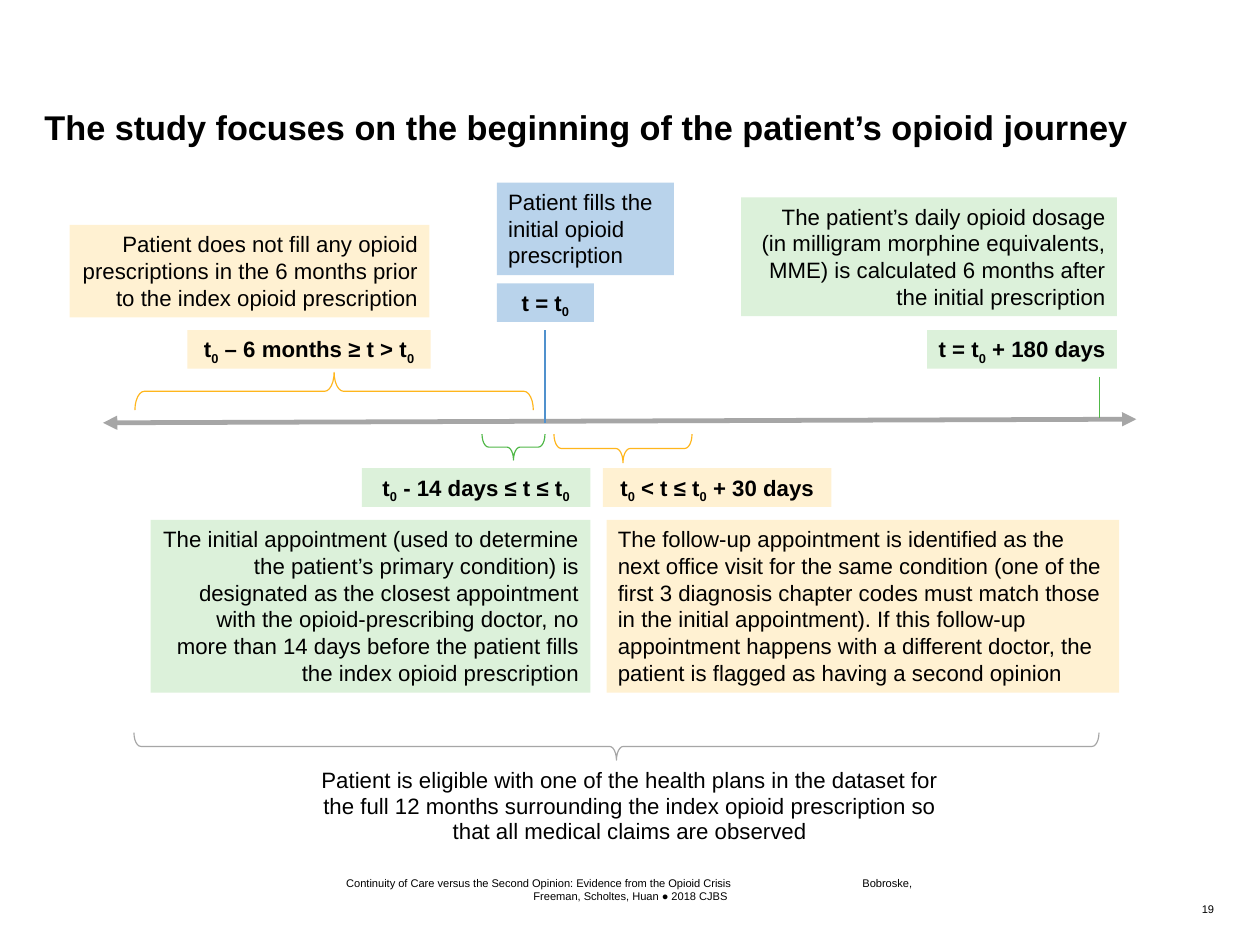
from dataclasses import dataclass
from typing import Any, NamedTuple

import lxml.etree
import pptx
import pptx.dml.color
import pptx.enum.shapes
import pptx.enum.text
import pptx.oxml.ns
import pptx.util

Cm = pptx.util.Cm
Pt = pptx.util.Pt
RGB = pptx.dml.color.RGBColor.from_string
Shape = pptx.enum.shapes.MSO_SHAPE
Align = pptx.enum.text.PP_ALIGN
Anchor = pptx.enum.text.MSO_ANCHOR
qn = pptx.oxml.ns.qn


@dataclass(frozen=True)
class Theme:
    font: str = "Arial"
    ink: str = "000000"
    cream: str = "FFF1D2"
    mint: str = "DCF1DA"
    sky: str = "B9D3EB"
    gold: str = "FFB61C"
    green: str = "50B848"
    blue: str = "5091CD"
    grey: str = "A6A6A6"
    title: float = 21.6
    body: float = 14
    small: float = 7
    thin: float = 0.75
    thick: float = 3


THEME = Theme()


class Area(NamedTuple):
    left: float
    top: float
    width: float
    height: float


class Panel(NamedTuple):
    area: Area
    fill: str
    text: str
    align: Any = Align.CENTER
    bold: bool = False


class Brace(NamedTuple):
    area: Area
    color: str
    turn: int = 270


class Rule(NamedTuple):
    start: tuple[float, float]
    end: tuple[float, float]
    color: str
    weight: float = THEME.thin
    heads: bool = False


CHIP = 0.86
ROW = 7.34
LOW_ROW = 10.41
LOW_NOTE = 11.56

PANELS = [
    Panel(Area(4.17, ROW, 5.41, CHIP), THEME.cream, "t|0| – 6 months ≥ t > t|0", bold=True),
    Panel(Area(11.05, 6.3, 2.16, CHIP), THEME.sky, "t = t|0", bold=True),
    Panel(Area(8.05, LOW_ROW, 5.08, CHIP), THEME.mint, "t|0| - 14 days ≤ t ≤ t|0", bold=True),
    Panel(Area(20.62, ROW, 4.22, CHIP), THEME.mint, "t = t|0| + 180 days", bold=True),
    Panel(Area(13.41, LOW_ROW, 5.08, CHIP), THEME.cream, "t|0| < t ≤ t|0| + 30 days", bold=True),
    Panel(Area(1.55, 5, 8, 2.06), THEME.cream,
          "Patient does not fill any opioid prescriptions in the 6 months prior "
          "to the index opioid prescription", Align.RIGHT),
    Panel(Area(11.05, 4.06, 3.94, 2.06), THEME.sky,
          "Patient fills the initial opioid prescription", Align.LEFT),
    Panel(Area(16.48, 4.39, 8.36, 2.64), THEME.mint,
          "The patient’s daily opioid dosage (in milligram morphine equivalents, MME) "
          "is calculated 6 months after the initial prescription", Align.RIGHT),
    Panel(Area(3.35, LOW_NOTE, 9.78, 3.84), THEME.mint,
          "The initial appointment (used to determine the patient’s primary condition) is "
          "designated as the closest appointment with the opioid-prescribing doctor, no more "
          "than 14 days before the patient fills the index opioid prescription", Align.RIGHT),
    Panel(Area(13.49, LOW_NOTE, 11.4, 3.84), THEME.cream,
          "The follow-up appointment is identified as the next office visit for the same "
          "condition (one of the first 3 diagnosis chapter codes must match those in the "
          "initial appointment). If this follow-up appointment happens with a different "
          "doctor, the patient is flagged as having a second opinion", Align.LEFT),
]

BRACES = [
    Brace(Area(3, 8.28, 8.86, 0.84), THEME.gold, turn=90),
    Brace(Area(10.72, 9.65, 1.4, 0.58), THEME.green),
    Brace(Area(12.32, 9.65, 3.07, 0.64), THEME.gold),
    Brace(Area(2.98, 16.29, 21.46, 0.61), THEME.grey),
]

RULES = [
    Rule((2.29, 9.4), (25.27, 9.32), THEME.grey, THEME.thick, heads=True),
    Rule((12.12, 7.34), (12.12, 9.4), THEME.blue),
    Rule((24.46, 8.38), (24.46, 9.3), THEME.green),
]


def write(para: Any, text: str, *, size: float = THEME.body, bold: bool = False,
          align: Any = Align.LEFT, space: float | None = None, tab: float | None = None) -> None:
    """Fill a paragraph; every second part between bars is a subscript."""
    para.alignment = align
    if space:
        para.line_spacing = space
    if tab:
        stops = lxml.etree.SubElement(para._p.get_or_add_pPr(), qn("a:tabLst"))
        lxml.etree.SubElement(stops, qn("a:tab"), pos=str(Cm(tab)), algn="l")
    for index, part in enumerate(text.split("|")):
        run = para.add_run()
        run.text = part
        run.font.name = THEME.font
        run.font.size = Pt(size)
        run.font.bold = bold
        run.font.color.rgb = RGB(THEME.ink)
        if index % 2:
            run.font._element.set("baseline", "-25000")


def add_box(slide: Any, area: Area, anchor: Any = Anchor.TOP, base: float = 0) -> Any:
    """Return the frame of a text box whose only inset is at its base."""
    frame = slide.shapes.add_textbox(*map(Cm, area)).text_frame
    frame.word_wrap = True
    frame.vertical_anchor = anchor
    frame.margin_left = frame.margin_top = frame.margin_right = 0
    frame.margin_bottom = Cm(base)
    return frame


def add_panel(slide: Any, panel: Panel) -> None:
    shape = slide.shapes.add_shape(Shape.RECTANGLE, *map(Cm, panel.area))
    shape.shadow.inherit = False
    shape.fill.solid()
    shape.fill.fore_color.rgb = RGB(panel.fill)
    shape.line.fill.background()
    frame = shape.text_frame
    frame.word_wrap = True
    frame.vertical_anchor = Anchor.TOP
    write(frame.paragraphs[0], panel.text, align=panel.align, bold=panel.bold)


def add_brace(slide: Any, brace: Brace) -> None:
    """Place an upright brace so that, once turned, it fills its area."""
    left, top, width, height = brace.area
    shift = (width - height) / 2
    shape = slide.shapes.add_shape(
        Shape.LEFT_BRACE, Cm(left + shift), Cm(top - shift), Cm(height), Cm(width))
    shape.rotation = brace.turn
    shape.adjustments[0] = 0.25
    shape.shadow.inherit = False
    shape.fill.background()
    shape.line.color.rgb = RGB(brace.color)
    shape.line.width = Pt(THEME.thin)


def add_rule(slide: Any, rule: Rule) -> None:
    line = slide.shapes.add_connector(
        pptx.enum.shapes.MSO_CONNECTOR.STRAIGHT, *map(Cm, rule.start + rule.end))
    line.line.color.rgb = RGB(rule.color)
    line.line.width = Pt(rule.weight)
    if rule.heads:
        for end in ("a:headEnd", "a:tailEnd"):
            lxml.etree.SubElement(line.line._get_or_add_ln(), qn(end), type="triangle")
    lxml.etree.SubElement(line._element.spPr, qn("a:effectLst"))


def main() -> None:
    deck = pptx.Presentation()
    deck.slide_width, deck.slide_height = Cm(28.02), Cm(21.01)
    slide = deck.slides.add_slide(deck.slide_layouts[6])

    title = add_box(slide, Area(0.99, 1.47, 26, 2.01), Anchor.BOTTOM, base=0.2)
    write(title.paragraphs[0], "The study focuses on the beginning of the patient’s opioid journey",
          size=THEME.title, bold=True)
    for rule in RULES:
        add_rule(slide, rule)
    for panel in PANELS:
        add_panel(slide, panel)
    for brace in BRACES:
        add_brace(slide, brace)

    claim = add_box(slide, Area(7.11, 17.09, 13.79, 1.7))
    write(claim.paragraphs[0],
          "Patient is eligible with one of the health plans in the dataset for the full 12 months "
          "surrounding the index opioid prescription so that all medical claims are observed",
          align=Align.CENTER, space=0.95)
    foot = add_box(slide, Area(7.7, 19.46, 12.64, 0.61), Anchor.BOTTOM)
    write(foot.paragraphs[0], "Continuity of Care versus the Second Opinion: "
          "Evidence from the Opioid Crisis\tBobroske,", size=THEME.small, tab=11.48)
    write(foot.add_paragraph(), "Freeman, Scholtes, Huan ● 2018 CJBS",
          size=THEME.small, align=Align.CENTER)
    page = add_box(slide, Area(22.33, 20.07, 4.67, 0.41))
    write(page.paragraphs[0], "19", size=THEME.small, align=Align.RIGHT)
    deck.save("out.pptx")


if __name__ == "__main__":
    main()
